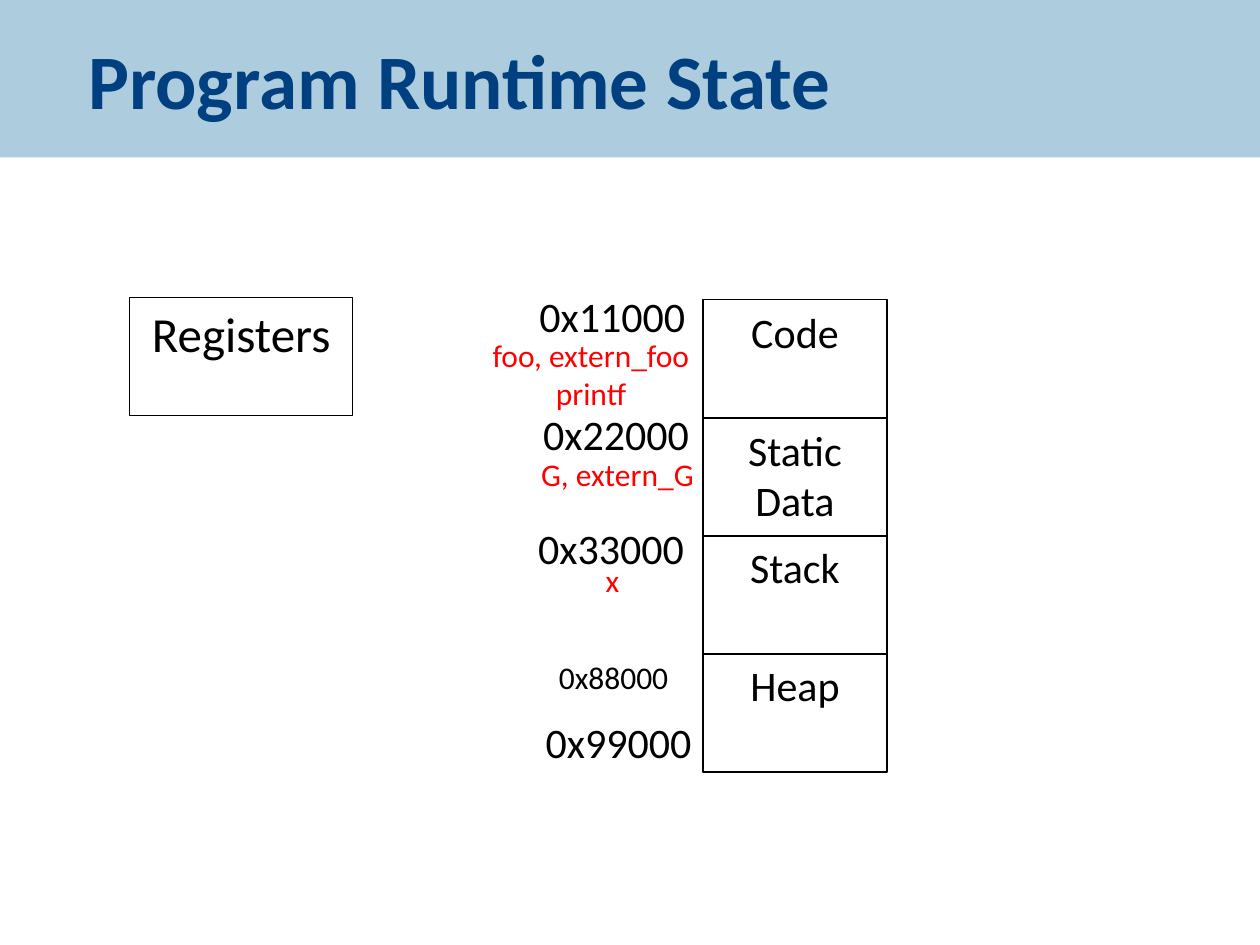
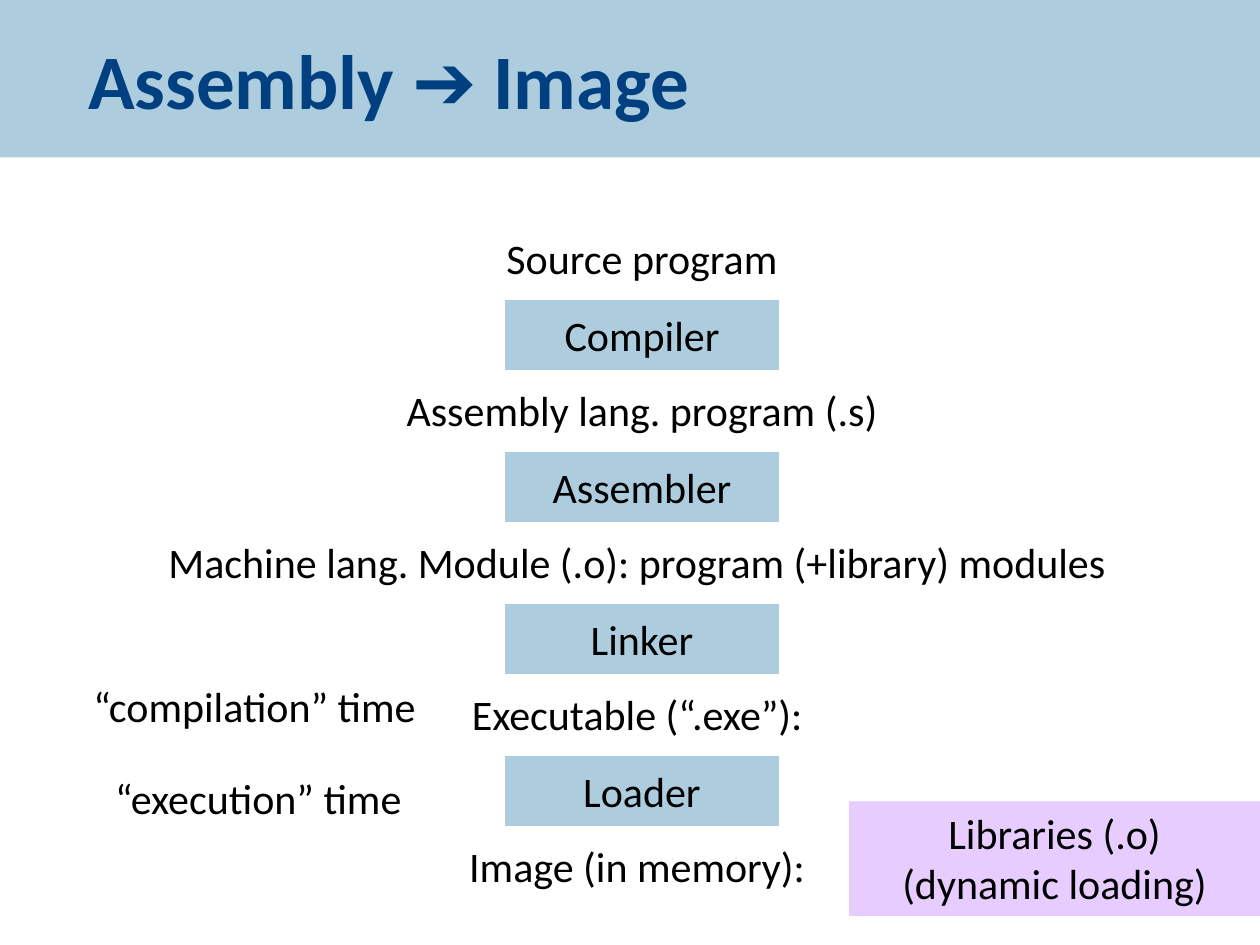
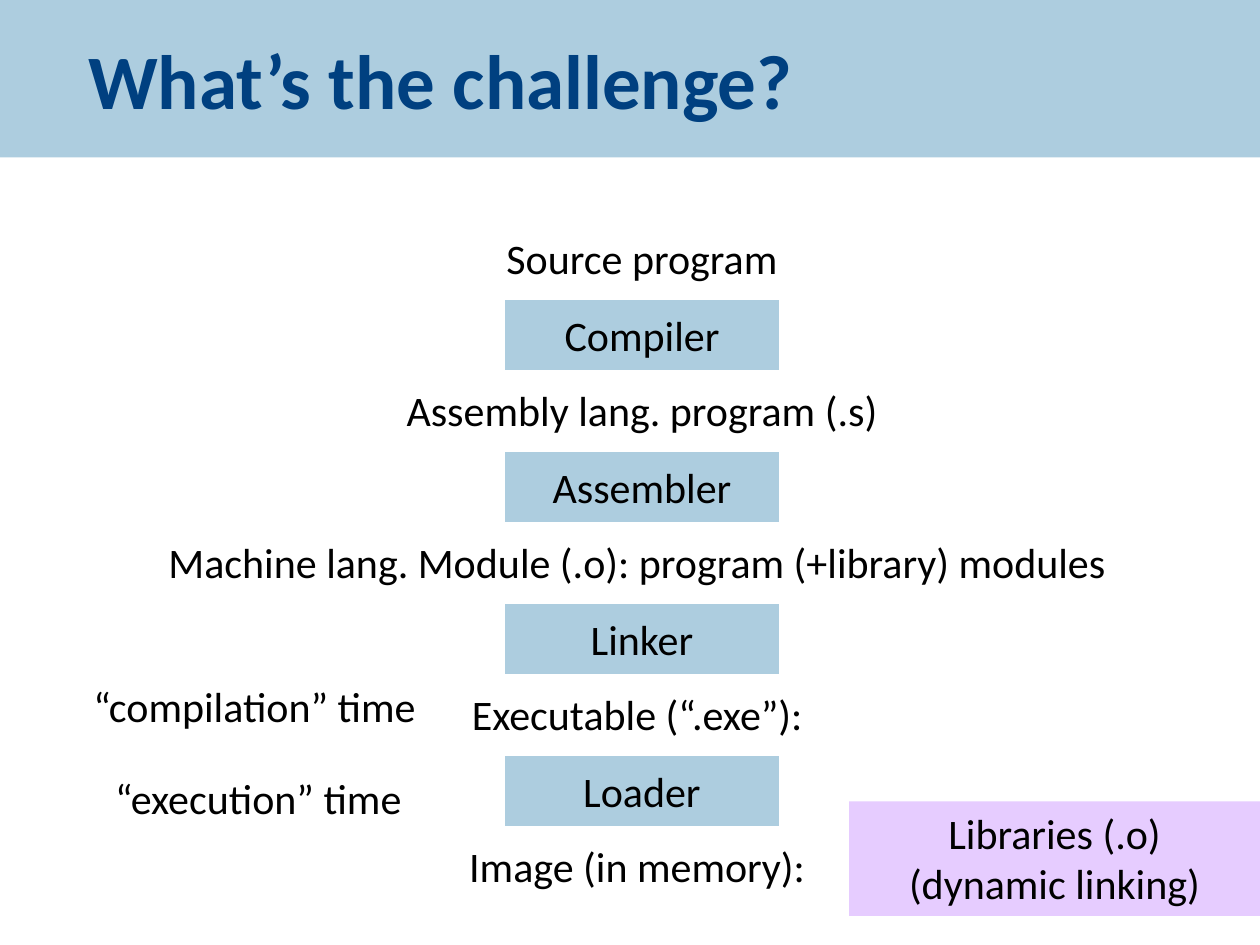
from dataclasses import dataclass
from typing import Optional

from pptx import Presentation
from pptx.dml.color import RGBColor
from pptx.enum.shapes import MSO_SHAPE
from pptx.enum.text import MSO_ANCHOR, MSO_AUTO_SIZE, PP_ALIGN
from pptx.util import Inches, Pt

NAVY = RGBColor(0x00, 0x40, 0x80)
PALE_BLUE = RGBColor(0xAD, 0xCD, 0xDF)
LILAC = RGBColor(0xE6, 0xCC, 0xFF)
BLACK = RGBColor(0x00, 0x00, 0x00)
WHITE = RGBColor(0xFF, 0xFF, 0xFF)
RED = RGBColor(0xFF, 0x00, 0x00)

FONT = "Calibri"
GRID_COLUMNS = 100
GRID_ROWS = 75
TITLE_ONLY_LAYOUT = 5
LABEL_ROWS = 5.0
STAGE_PITCH = 12.06
REGION_PITCH = 9.36

presentation = Presentation()
presentation.slide_width = Inches(10)
presentation.slide_height = Inches(7.5)


@dataclass(frozen=True)
class Area:
    column: float
    row: float
    columns: float
    rows: float

    def placement(self) -> tuple[int, int, int, int]:
        cell_width = presentation.slide_width / GRID_COLUMNS
        cell_height = presentation.slide_height / GRID_ROWS
        return (
            round(self.column * cell_width),
            round(self.row * cell_height),
            round(self.columns * cell_width),
            round(self.rows * cell_height),
        )


@dataclass(frozen=True)
class Label:
    text: str
    area: Area
    size: int = 24
    color: RGBColor = BLACK


@dataclass(frozen=True)
class Box:
    label: Label
    fill: Optional[RGBColor] = None
    line: Optional[RGBColor] = None
    line_width: float = 0.75
    anchor: MSO_ANCHOR = MSO_ANCHOR.TOP
    wrap: bool = True


def write_text(text_frame, text: str, size: int, color: RGBColor,
               alignment: PP_ALIGN = PP_ALIGN.CENTER, bold: bool = False) -> None:
    text_frame.text = text
    for paragraph in text_frame.paragraphs:
        paragraph.alignment = alignment
        for run in paragraph.runs:
            run.font.name = FONT
            run.font.size = Pt(size)
            run.font.bold = bold
            run.font.color.rgb = color


def add_titled_slide(title: str):
    slide = presentation.slides.add_slide(presentation.slide_layouts[TITLE_ONLY_LAYOUT])
    band = slide.shapes.title
    band.left, band.top, band.width, band.height = Area(0, 0, GRID_COLUMNS, 12.5).placement()
    band.fill.solid()
    band.fill.fore_color.rgb = PALE_BLUE
    text_frame = band.text_frame
    text_frame.auto_size = MSO_AUTO_SIZE.NONE
    text_frame.vertical_anchor = MSO_ANCHOR.MIDDLE
    text_frame.margin_left = Inches(0.7)
    write_text(text_frame, title, 44, NAVY, PP_ALIGN.LEFT, bold=True)
    return slide


def add_label(slide, label: Label) -> None:
    text_frame = slide.shapes.add_textbox(*label.area.placement()).text_frame
    text_frame.word_wrap = True
    text_frame.auto_size = MSO_AUTO_SIZE.SHAPE_TO_FIT_TEXT
    write_text(text_frame, label.text, label.size, label.color)


def add_box(slide, box: Box) -> None:
    shape = slide.shapes.add_shape(MSO_SHAPE.RECTANGLE, *box.label.area.placement())
    shape.shadow.inherit = False
    if box.fill is None:
        shape.fill.background()
    else:
        shape.fill.solid()
        shape.fill.fore_color.rgb = box.fill
    if box.line is None:
        shape.line.fill.background()
    else:
        shape.line.color.rgb = box.line
        shape.line.width = Pt(box.line_width)
    shape.text_frame.word_wrap = box.wrap
    shape.text_frame.vertical_anchor = box.anchor
    write_text(shape.text_frame, box.label.text, box.label.size, box.label.color)


def build_runtime_state() -> None:
    slide = add_titled_slide("Program Runtime State")
    for index, region in enumerate(("Code", "Static Data", "Stack", "Heap")):
        area = Area(55.8, 23.8 + index * REGION_PITCH, 14.6, 9.4)
        add_box(slide, Box(Label(region, area), line=BLACK))
    registers = Label("Registers", Area(10.3, 23.6, 17.7, 9.4), size=28)
    add_box(slide, Box(registers, line=BLACK))

    addresses = (
        ("0x11000", 41.5, 22.6),
        ("0x22000", 41.8, 31.9),
        ("0x33000", 41.4, 41.0),
        ("0x99000", 42.0, 56.4),
    )
    for address, column, row in addresses:
        add_label(slide, Label(address, Area(column, row, 14.2, LABEL_ROWS)))

    contents = (
        Label("G, extern_G", Area(41.9, 35.6, 14.2, 4), 18, RED),
        Label("foo, extern_foo\nprintf", Area(35.2, 26.2, 23.4, 7.1), 18, RED),
        Label("x", Area(36.9, 44, 23.4, 4), 18, RED),
        Label("0x88000", Area(37, 51.7, 23.4, 4), 18),
    )
    for label in contents:
        add_label(slide, label)


def build_toolchain(title: str, library_step: str) -> None:
    slide = add_titled_slide(title)
    for index, tool in enumerate(("Compiler", "Assembler", "Linker", "Loader")):
        area = Area(39.9, 23.6 + index * STAGE_PITCH, 22.1, 6)
        add_box(slide, Box(Label(tool, area), PALE_BLUE, WHITE, 3, MSO_ANCHOR.MIDDLE, wrap=False))

    products = (
        ("Source program", 33.1, 35.7),
        ("Assembly lang. program (.s)", 29.9, 42.1),
        ("Machine lang. Module (.o): program (+library) modules ", 6.8, 88.3),
        ("Executable (“.exe”): ", 6.8, 88.3),
        ("Image (in memory): ", 6.8, 88.3),
    )
    for index, (product, column, columns) in enumerate(products):
        area = Area(column, 18 + index * STAGE_PITCH, columns, LABEL_ROWS)
        add_label(slide, Label(product, area))

    add_label(slide, Label("“compilation” time", Area(3.9, 53.5, 32.6, LABEL_ROWS)))
    add_label(slide, Label("“execution” time", Area(4.2, 60.8, 32.6, LABEL_ROWS)))
    libraries = Label(f"Libraries (.o)\n({library_step})", Area(67.4, 63.6, 32.6, 9.1))
    add_box(slide, Box(libraries, LILAC))


build_runtime_state()
build_toolchain("Assembly ➔ Image", "dynamic loading")
build_toolchain("What’s the challenge?", "dynamic linking")
presentation.save("out.pptx")
